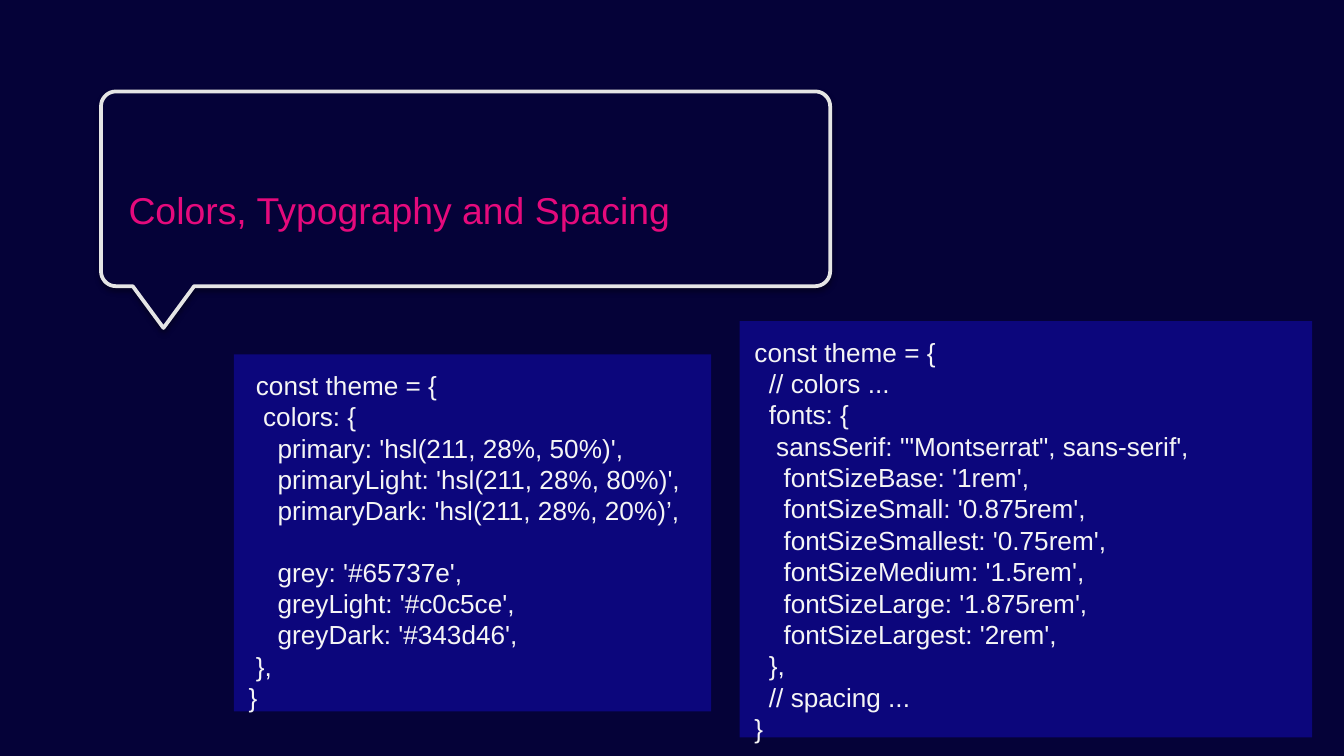
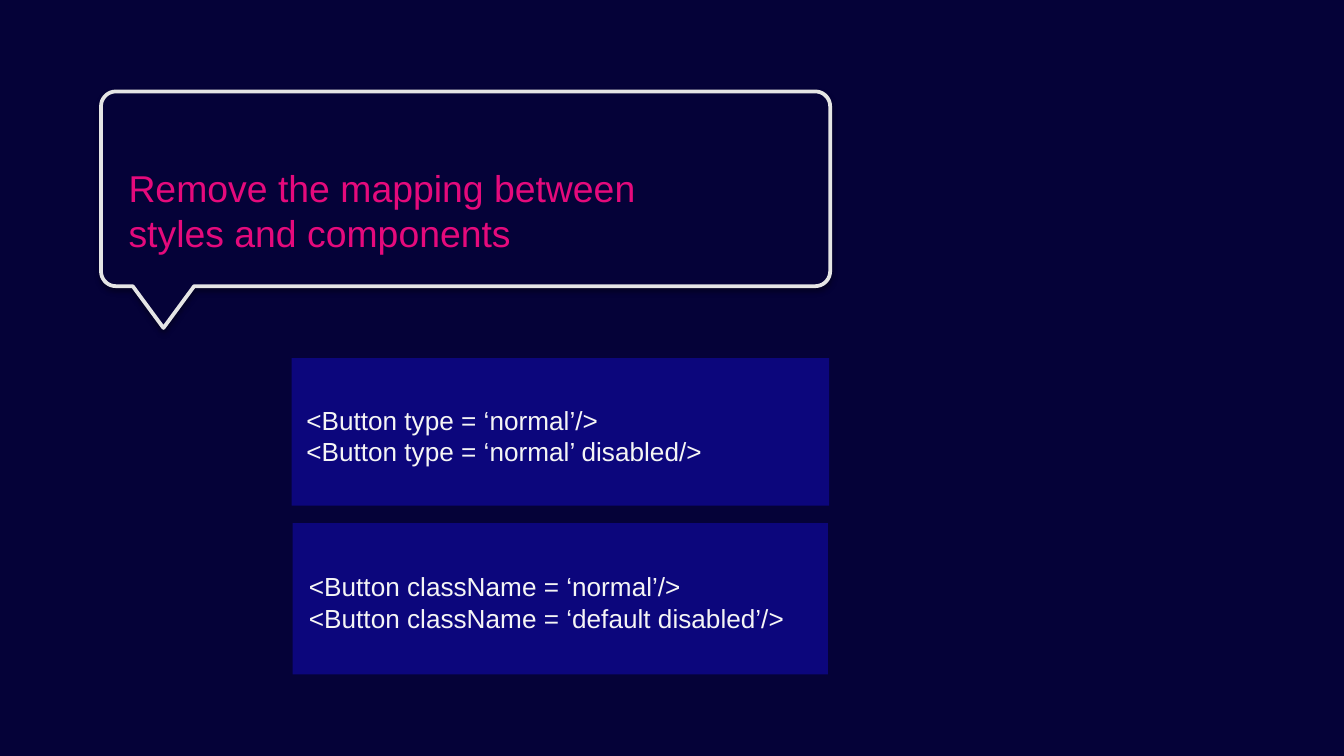
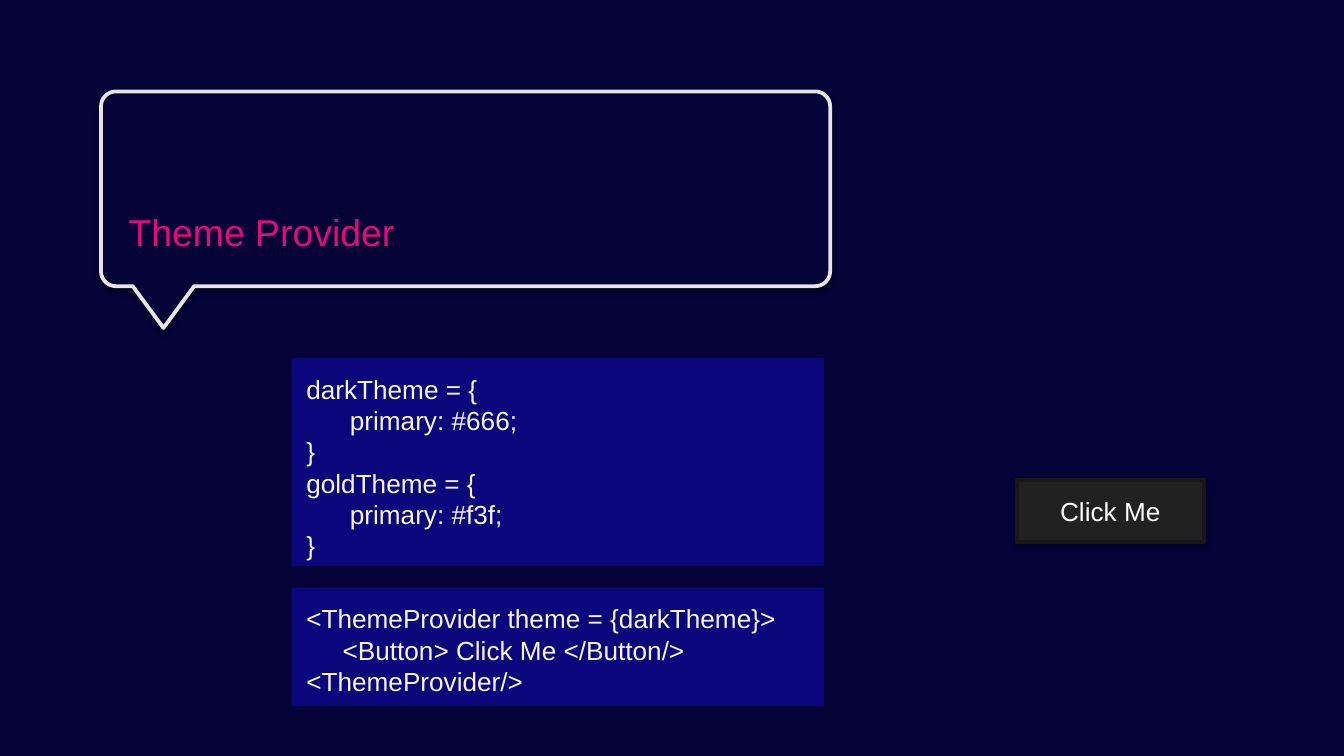
from math import cos, radians, sin

from lxml import etree
from pptx import Presentation
from pptx.dml.color import RGBColor
from pptx.enum.shapes import MSO_SHAPE as Shape
from pptx.enum.text import MSO_ANCHOR as Anchor, PP_ALIGN as Align
from pptx.oxml.ns import qn
from pptx.util import Cm, Pt

COLORS = {
    "night": "050238",
    "navy": "0C067C",
    "outline": "E5E5E5",
    "pink": "E50A7C",
    "code": "F5F5F5",
    "button": "212121",
    "button_edge": "181818",
    "label": "FFFFFF",
    "shadow": "000000",
}
FONT = "Arial"
TITLE_SIZE, CODE_SIZE = 20, 14
LINE_GAP = 16  # height of one skipped code line, in points

COLOR_THEME = """ const theme = {
  colors: {
    primary: 'hsl(211, 28%, 50%)',
    primaryLight: 'hsl(211, 28%, 80%)',
    primaryDark: 'hsl(211, 28%, 20%)’,

    grey: '#65737e',
    greyLight: '#c0c5ce',
    greyDark: '#343d46',
 },
}"""

FONT_THEME = """const theme = {
  // colors ...
  fonts: {
   sansSerif: '"Montserrat", sans-serif',
    fontSizeBase: '1rem',
    fontSizeSmall: '0.875rem',
    fontSizeSmallest: '0.75rem',
    fontSizeMedium: '1.5rem',
    fontSizeLarge: '1.875rem',
    fontSizeLargest: '2rem',
  },
  // spacing ...
}"""

TYPE_BUTTONS = """<Button type = ‘normal’/>
<Button type = ‘normal’ disabled/>"""

CLASS_BUTTONS = """<Button className = ‘normal’/>
<Button className = ‘default disabled’/>"""

THEMES = """darkTheme = {
      primary: #666;
}
goldTheme = {
      primary: #f3f;
}"""

PROVIDER = """<ThemeProvider theme = {darkTheme}>
     <Button> Click Me </Button/>
<ThemeProvider/>"""


class Deck:
    """Holds the style and the current slide; all lengths are in cm."""

    def __init__(self):
        self.prs = Presentation()
        self.prs.slide_width, self.prs.slide_height = Cm(25.4), Cm(14.29)
        self.slide = None

    def new_slide(self, title, title_drop=0):
        self.slide = self.prs.slides.add_slide(self.prs.slide_layouts[6])
        self.box(-0.13, -0.13, 25.66, 14.54, "navy", "night")
        self.speech_title(title, title_drop)

    def paint(self, shape, fill, line=None, shadow=False):
        shape.shadow.inherit = False
        shape.fill.solid()
        shape.fill.fore_color.rgb = RGBColor.from_string(COLORS[fill])
        if line:
            shape.line.color.rgb = RGBColor.from_string(COLORS[line])
            shape.line.width = Pt(2)
        else:
            shape.line.fill.background()
        if shadow:
            effects = shape._element.spPr.find(qn("a:effectLst"))
            outer = etree.SubElement(
                effects, qn("a:outerShdw"), blurRad=str(Pt(3)),
                dist=str(Pt(1.8)), dir="5400000", rotWithShape="0")
            tone = etree.SubElement(outer, qn("a:srgbClr"), val=COLORS["shadow"])
            etree.SubElement(tone, qn("a:alpha"), val="35000")

    def box(self, left, top, width, height, line, fill, shadow=False):
        shape = self.slide.shapes.add_shape(
            Shape.RECTANGLE, Cm(left), Cm(top), Cm(width), Cm(height))
        self.paint(shape, fill, line, shadow)
        return shape

    def set_text(self, shape, text, size, color, insets, anchor, align=Align.LEFT):
        """Set text; insets run left, top, right, bottom. An empty line becomes a gap."""
        frame = shape.text_frame
        frame.word_wrap = True
        frame.vertical_anchor = anchor
        (frame.margin_left, frame.margin_top,
         frame.margin_right, frame.margin_bottom) = map(Cm, insets)
        frame.text = text.replace("\n\n", "\n")
        after_gap = [part.split("\n")[0] for part in text.split("\n\n")[1:]]
        for paragraph in frame.paragraphs:
            paragraph.alignment = align
            if paragraph.text in after_gap:
                paragraph.space_before = Pt(LINE_GAP)
            for run in paragraph.runs:
                run.font.name, run.font.size = FONT, Pt(size)
                run.font.color.rgb = RGBColor.from_string(COLORS[color])

    def speech_title(self, title, drop):
        left, top, right, bottom, radius = 1.91, 1.73, 15.69, 5.41, 0.28
        # Corner centres with the angle at which each arc starts
        corners = [
            (left + radius, bottom - radius, 180),
            (right - radius, bottom - radius, 90),
            (right - radius, top + radius, 0),
            (left + radius, top + radius, -90),
        ]
        arcs = [
            [(x + radius * cos(radians(start - step)),
              y + radius * sin(radians(start - step)))
             for step in range(0, 91, 10)]
            for x, y, start in corners
        ]
        tail = [(2.51, bottom), (3.09, 6.2), (3.67, bottom)]
        outline = [(Cm(x), Cm(y)) for x, y in arcs[0] + tail + sum(arcs[1:], [])]
        builder = self.slide.shapes.build_freeform(*outline[0])
        builder.add_line_segments(outline[1:], close=True)
        bubble = builder.convert_to_shape()
        self.paint(bubble, "night", "outline", shadow=True)
        self.set_text(bubble, title, TITLE_SIZE, "pink",
                      (0.52, 0.13 + drop, 0.13, 0.13), Anchor.MIDDLE)

    def code(self, text, left, top, width, height, inset=0.28, drop=0):
        panel = self.box(left, top, width, height, None, "navy")
        self.set_text(panel, text, CODE_SIZE, "code",
                      (inset, inset + drop, inset, inset), Anchor.TOP)

    def button(self, label, left, top, width, height):
        shape = self.box(left, top, width, height, "button_edge", "button", shadow=True)
        self.set_text(shape, label, CODE_SIZE, "label", (0.13,) * 4,
                      Anchor.MIDDLE, Align.CENTER)


def main():
    deck = Deck()

    # Theme object
    deck.new_slide("Colors, Typography and Spacing")
    deck.code(COLOR_THEME, 4.42, 6.7, 9.02, 6.75)
    deck.code(FONT_THEME, 13.98, 6.07, 10.82, 7.87)

    # Props instead of class names
    deck.new_slide("Remove the mapping between\nstyles and components")
    deck.code(TYPE_BUTTONS, 5.51, 6.77, 10.16, 2.79, drop=0.59)
    deck.code(CLASS_BUTTONS, 5.53, 9.89, 10.12, 2.86, inset=0.31, drop=0.59)

    # Provider and the resulting button
    deck.new_slide("Theme Provider", title_drop=0.83)
    deck.code(THEMES, 5.51, 6.77, 10.06, 3.93)
    deck.code(PROVIDER, 5.51, 11.11, 10.06, 2.24)
    deck.button("Click Me", 19.22, 9.07, 3.53, 1.17)

    deck.prs.save("out.pptx")


if __name__ == "__main__":
    main()
